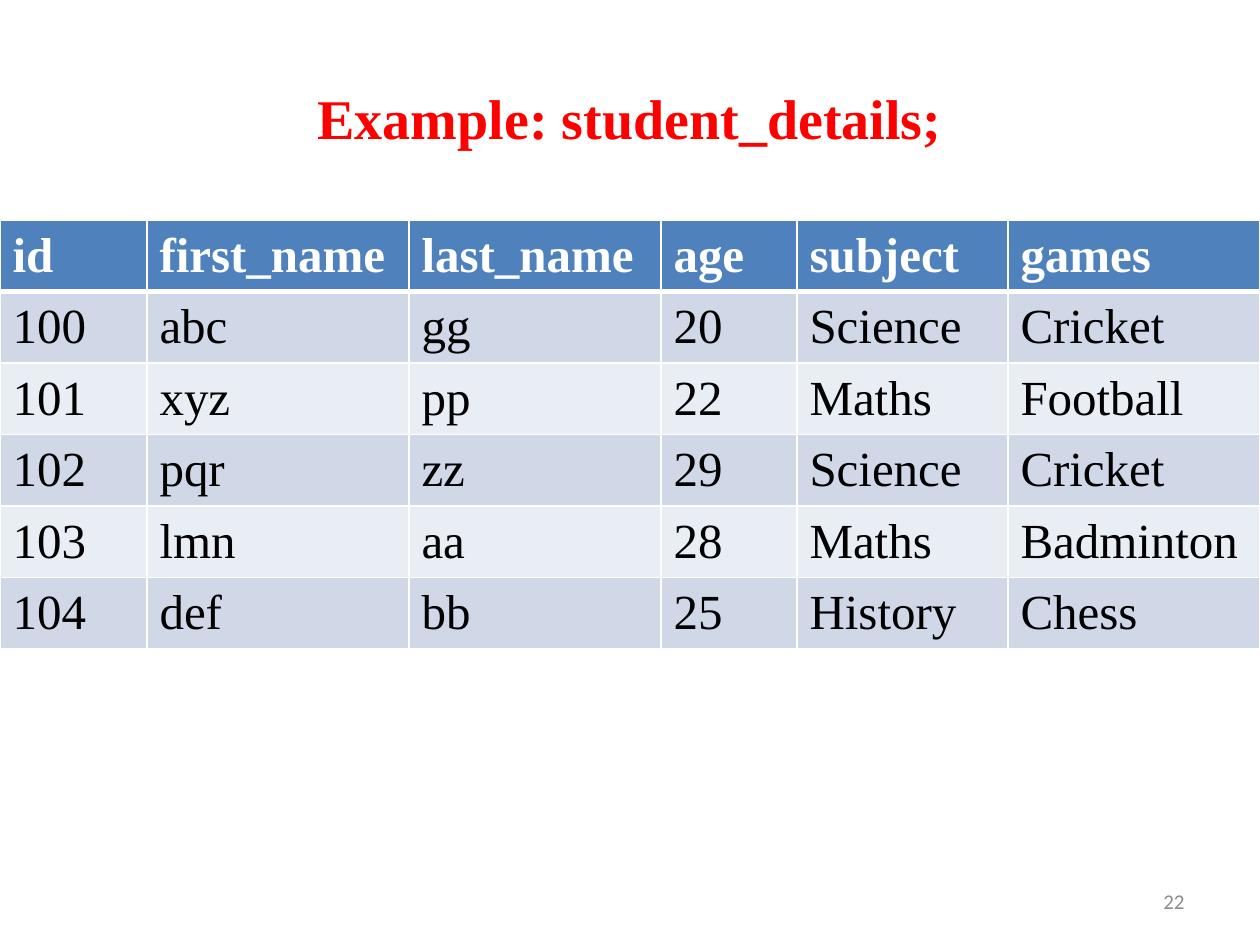
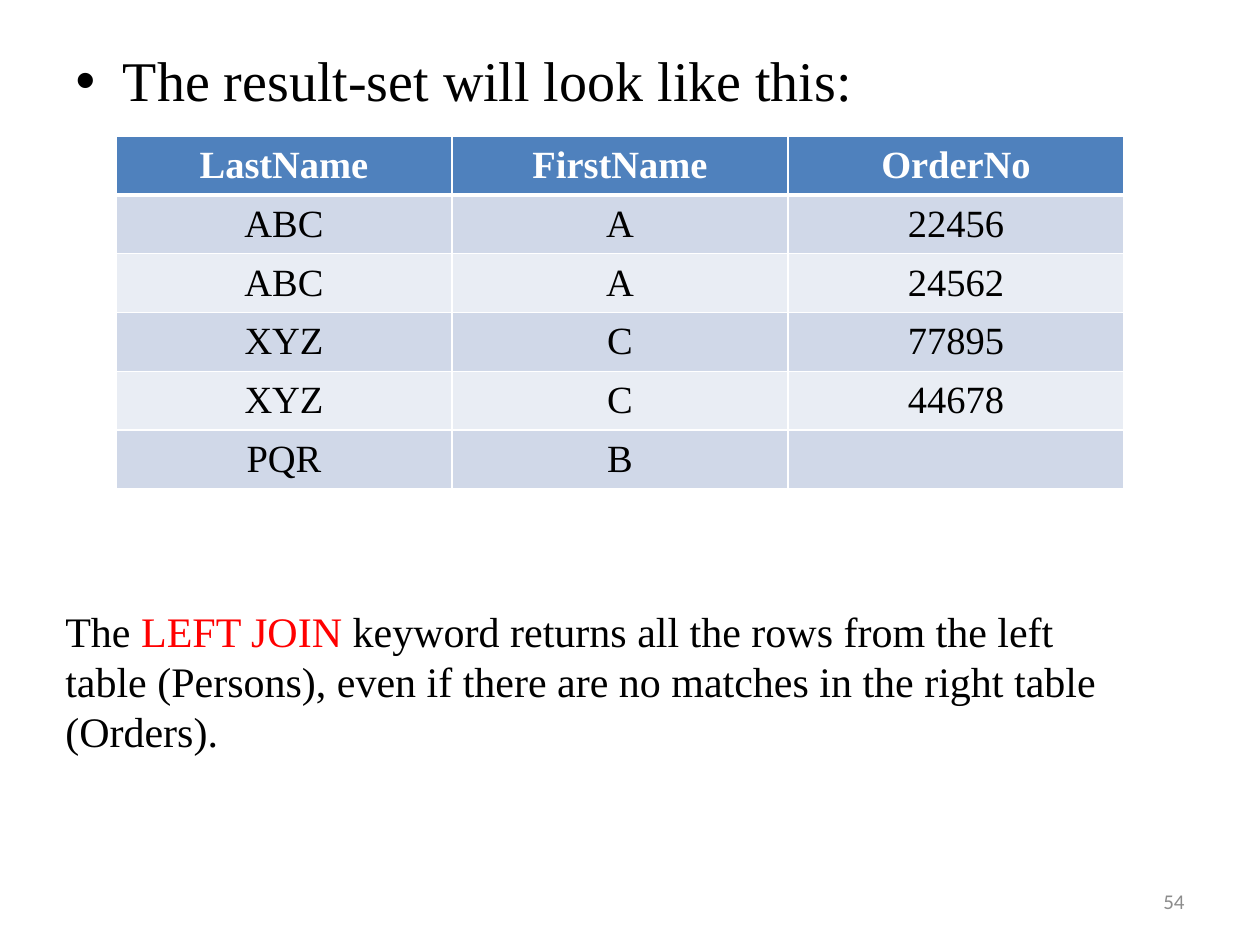
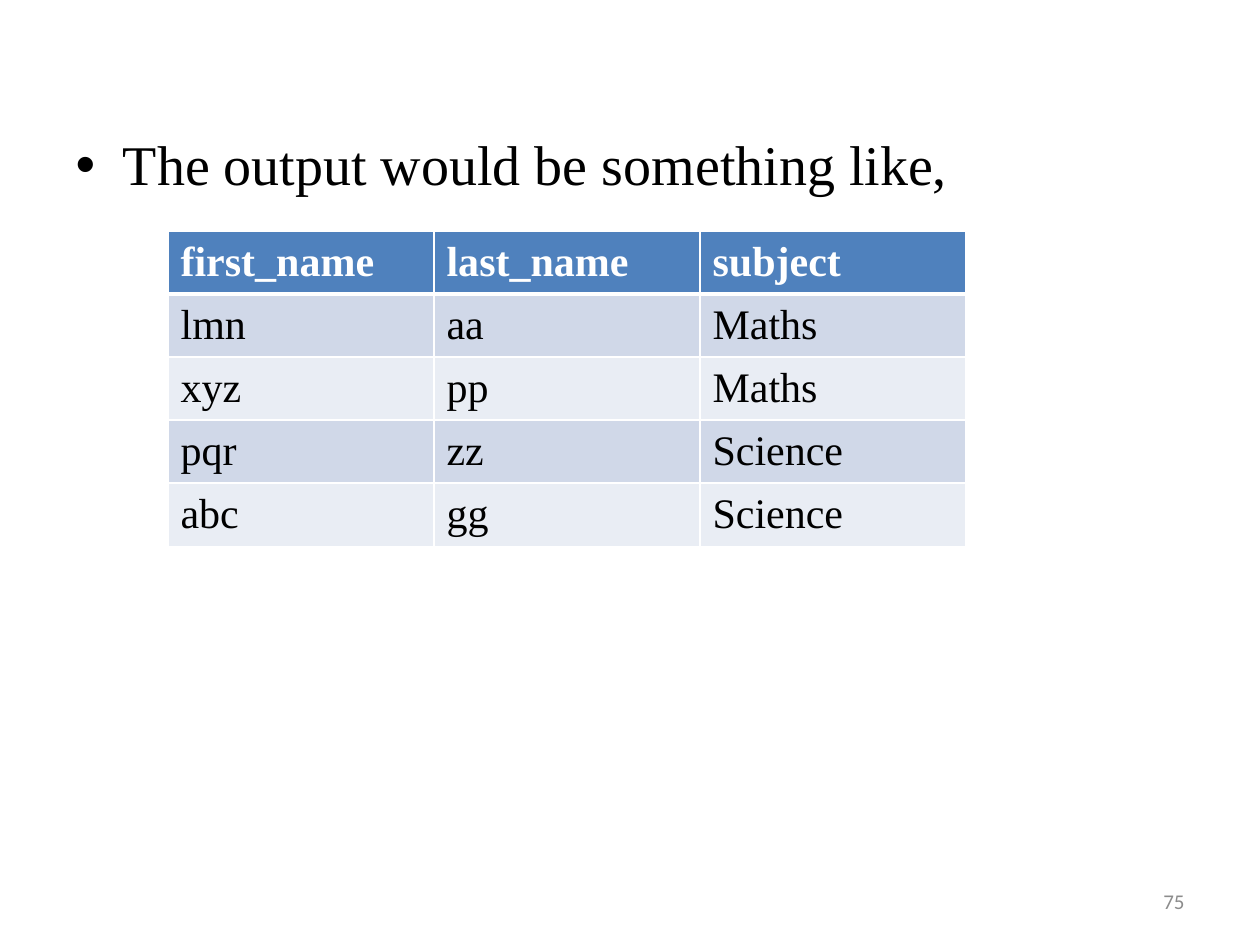
from lxml import etree
from pptx import Presentation
from pptx.dml.color import RGBColor
from pptx.enum.text import MSO_ANCHOR, PP_ALIGN
from pptx.oxml.ns import qn
from pptx.util import Emu, Pt

LEFT, CENTER, RIGHT = PP_ALIGN.LEFT, PP_ALIGN.CENTER, PP_ALIGN.RIGHT
MIDDLE = MSO_ANCHOR.MIDDLE

EMU_PER_INCH, PX_PER_INCH = 914400, 126
SLIDE_W, SLIDE_H = 1260, 945
MARGIN, CONTENT_W = 63, 1134
BODY_BOTTOM = 844
BODY_INSET = 14

SERIF, SANS = "Times New Roman", "Calibri"
BLACK, WHITE, RED, GRAY = "000000", "FFFFFF", "FF0000", "8C8C8C"
HEADER_FILL = "4F81BD"
BAND_FILLS = ("D0D8E8", "E9EDF4")

TITLE_ONLY, TITLE_AND_CONTENT = 5, 1

STUDENTS = [
    ("id", "first_name", "last_name", "age", "subject", "games"),
    ("100", "abc", "gg", "20", "Science", "Cricket"),
    ("101", "xyz", "pp", "22", "Maths", "Football"),
    ("102", "pqr", "zz", "29", "Science", "Cricket"),
    ("103", "lmn", "aa", "28", "Maths", "Badminton"),
    ("104", "def", "bb", "25", "History", "Chess"),
]
JOINED_ORDERS = [
    ("LastName", "FirstName", "OrderNo"),
    ("ABC", "A", "22456"),
    ("ABC", "A", "24562"),
    ("XYZ", "C", "77895"),
    ("XYZ", "C", "44678"),
    ("PQR", "B", ""),
]
SUBJECTS = [
    ("first_name", "last_name", "subject"),
    ("lmn", "aa", "Maths"),
    ("xyz", "pp", "Maths"),
    ("pqr", "zz", "Science"),
    ("abc", "gg", "Science"),
]


def px(n):
    return Emu(round(n * EMU_PER_INCH / PX_PER_INCH))


def rgb(color):
    return RGBColor.from_string(color)


def place(sp, left, top, width, height):
    sp.left, sp.top, sp.width, sp.height = map(px, (left, top, width, height))


def add_run(p, text, size, color=BLACK, bold=False, font=SERIF):
    r = p.add_run()
    r.text = text
    r.font.name = font
    r.font.size = Pt(size)
    r.font.bold = bold
    r.font.color.rgb = rgb(color)


def add_title(s, text):
    sp = s.shapes.title
    place(sp, MARGIN, 38, CONTENT_W, 158)
    add_run(sp.text_frame.paragraphs[0], text, 32, RED, bold=True)


def add_bullet(s, text, top):
    """Fill the body placeholder from top down and drop the unused title."""
    title = s.shapes.title.element
    title.getparent().remove(title)
    sp = s.placeholders[1]
    place(sp, MARGIN, top, CONTENT_W, BODY_BOTTOM - top)
    tf = sp.text_frame
    tf.margin_top = px(BODY_INSET)
    p = tf.paragraphs[0]
    p.space_before = Pt(0)
    add_run(p, text, 32)


def add_text(s, left, top, width, height):
    sp = s.shapes.add_textbox(px(left), px(top), px(width), px(height))
    tf = sp.text_frame
    tf.word_wrap = True
    return tf


def add_page_number(s, number):
    tf = add_text(s, 903, 876, 294, 50)
    tf.vertical_anchor = MIDDLE
    p = tf.paragraphs[0]
    p.alignment = RIGHT
    add_run(p, number, 12, GRAY, font=SANS)


def add_border(cell, side, width):
    ln = etree.SubElement(cell._tc.get_or_add_tcPr(), qn(f"a:ln{side}"),
                          w=str(Pt(width)))
    fill = etree.SubElement(ln, qn("a:solidFill"))
    etree.SubElement(fill, qn("a:srgbClr"), val=WHITE)


def format_cell(cell, text, row, size, align):
    header = row == 0
    for side in "LRTB" if header else "LRB":
        add_border(cell, side, 3 if header and side == "B" else 1)
    cell.fill.solid()
    cell.fill.fore_color.rgb = rgb(
        HEADER_FILL if header else BAND_FILLS[(row - 1) % 2])
    cell.vertical_anchor = MIDDLE
    p = cell.text_frame.paragraphs[0]
    p.alignment = align
    if text:
        add_run(p, text, size, WHITE if header else BLACK, bold=header)


def add_data_table(s, rows, left, top, col_widths, row_height, size, align=LEFT):
    frame = s.shapes.add_table(
        len(rows), len(col_widths), px(left), px(top),
        px(sum(col_widths)), px(row_height * len(rows)))
    table = frame.table
    for col, width in zip(table.columns, col_widths):
        col.width = px(width)
    for i, values in enumerate(rows):
        table.rows[i].height = px(row_height)
        for j, text in enumerate(values):
            format_cell(table.cell(i, j), text, i, size, align)


def add_slide(prs, layout, number):
    s = prs.slides.add_slide(prs.slide_layouts[layout])
    add_page_number(s, number)
    return s


def build_student_details(prs):
    s = add_slide(prs, TITLE_ONLY, "22")
    add_title(s, "Example: student_details;")
    add_data_table(s, STUDENTS, 0, 220, (147, 262, 252, 136, 211, 252), 67, 28)


def build_left_join(prs):
    s = add_slide(prs, TITLE_AND_CONTENT, "54")
    add_bullet(s, "The result-set will look like this:", 32)
    add_data_table(s, JOINED_ORDERS, 116, 136, [336] * 3, 55, 22, CENTER)
    p = add_text(s, 53, 599, 1071, 165).paragraphs[0]
    add_run(p, "The ", 24)
    add_run(p, "LEFT JOIN ", 24, RED)
    add_run(p, "keyword returns all the rows from the left table (Persons), "
               "even if there are no matches in the right table (Orders).", 24)


def build_ordered_output(prs):
    s = add_slide(prs, TITLE_AND_CONTENT, "75")
    add_bullet(s, "The output would be something like,", 116)
    add_data_table(s, SUBJECTS, 168, 231, [266] * 3, 59, 24)


def main():
    prs = Presentation()
    prs.slide_width, prs.slide_height = px(SLIDE_W), px(SLIDE_H)
    build_student_details(prs)
    build_left_join(prs)
    build_ordered_output(prs)
    prs.save("out.pptx")


if __name__ == "__main__":
    main()
